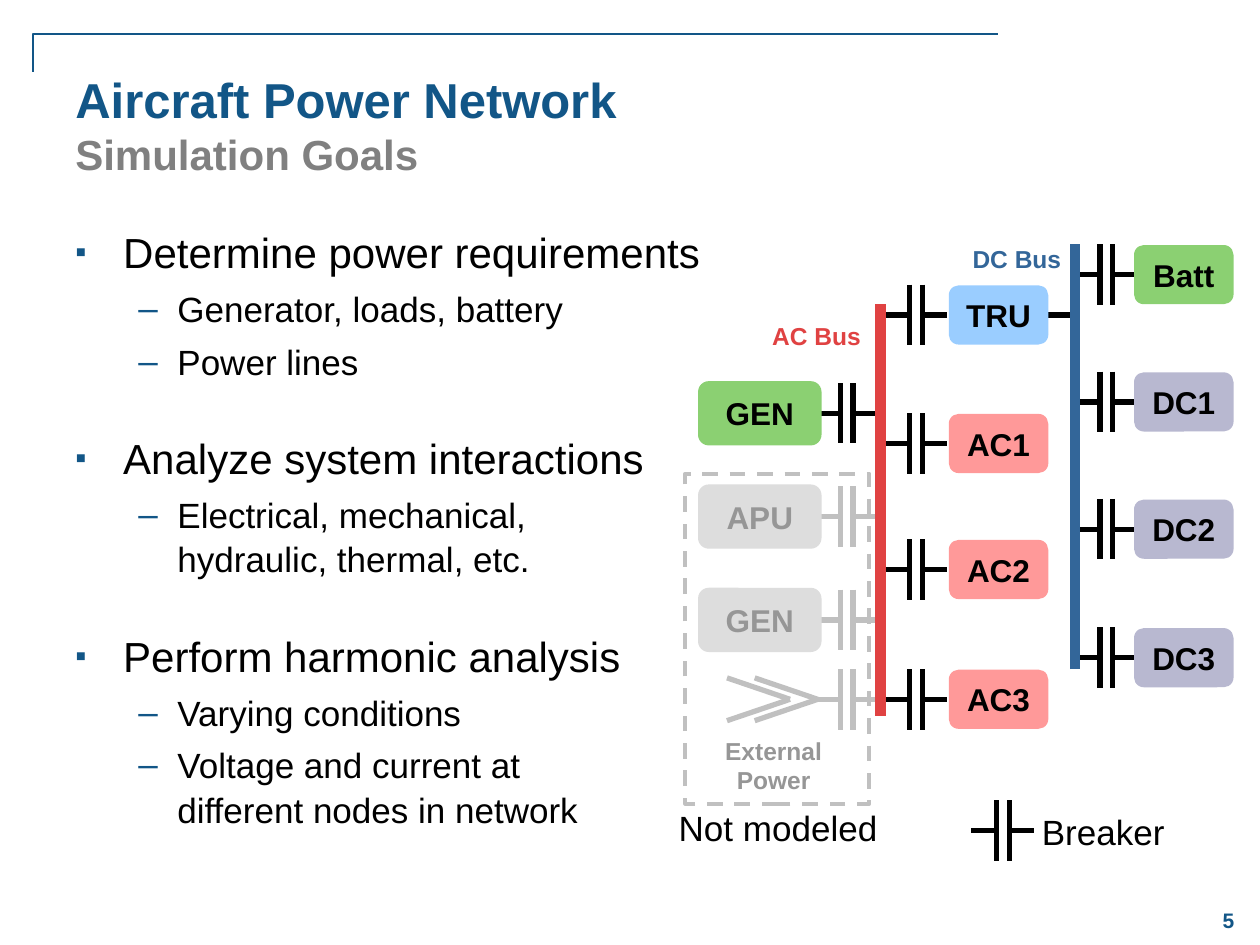
"""Build the aircraft power network slide with its goals and bus diagram."""
from typing import NamedTuple

from lxml import etree
from pptx import Presentation
from pptx import util as u
from pptx.dml.color import RGBColor
from pptx.enum import dml, shapes, text
from pptx.oxml import ns

NAVY = RGBColor(0x12, 0x56, 0x87)
BLACK = RGBColor(0, 0, 0)
GRAY = RGBColor(0x80, 0x80, 0x80)
WIRE_GRAY = RGBColor(0xC0, 0xC0, 0xC0)
BLOCK_GRAY = RGBColor(0xDD, 0xDD, 0xDD)
TEXT_GRAY = RGBColor(0x96, 0x96, 0x96)
GREEN = RGBColor(0x8B, 0xD0, 0x72)
PINK = RGBColor(0xFF, 0x99, 0x99)
LILAC = RGBColor(0xB8, 0xB8, 0xD0)
SKY = RGBColor(0x9A, 0xCD, 0xFF)
RED = RGBColor(0xE0, 0x42, 0x42)
BLUE = RGBColor(0x33, 0x66, 0x99)


class Bank(NamedTuple):
    breaker_x: float
    block_x: float
    width: float
    height: float
    inset: float


class Unit(NamedTuple):
    bank: Bank
    label: str
    y: float
    fill: RGBColor
    wire: RGBColor = BLACK
    color: RGBColor = BLACK


class Goal(NamedTuple):
    title: str
    details: tuple[str, ...]


class Label(NamedTuple):
    text: str
    box: tuple[float, float, float, float]
    size: int
    color: RGBColor
    bold: bool
    centered: bool


SOURCES = Bank(6.47, 5.54, 0.98, 0.51, 0.1)
AC_LOADS = Bank(7.02, 7.53, 0.79, 0.47, 0.04)
DC_LOADS = Bank(8.53, 9, 0.79, 0.47, 0.04)

UNMODELED = [
    Unit(SOURCES, "APU", 4.1, BLOCK_GRAY, WIRE_GRAY, TEXT_GRAY),
    Unit(SOURCES, "GEN", 4.92, BLOCK_GRAY, WIRE_GRAY, TEXT_GRAY),
]
MODELED = [
    Unit(SOURCES, "GEN", 3.28, GREEN),
    Unit(AC_LOADS, "TRU", 2.5, SKY),
    Unit(AC_LOADS, "AC1", 3.52, PINK),
    Unit(AC_LOADS, "AC2", 4.52, PINK),
    Unit(AC_LOADS, "AC3", 5.55, PINK),
    Unit(DC_LOADS, "Batt", 2.18, GREEN),
    Unit(DC_LOADS, "DC1", 3.19, LILAC),
    Unit(DC_LOADS, "DC2", 4.2, LILAC),
    Unit(DC_LOADS, "DC3", 5.22, LILAC),
]
GOALS = [
    Goal("Determine power requirements", ("Generator, loads, battery", "Power lines")),
    Goal("Analyze system interactions", ("Electrical, mechanical,\nhydraulic, thermal, etc.",)),
    Goal("Perform harmonic analysis",
         ("Varying conditions", "Voltage and current at\ndifferent nodes in network")),
]
LABELS = [
    Label("Breaker", (8.17, 6.38, 1.18, 0.44), 20, BLACK, False, False),
    Label("External\nPower", (5.65, 5.79, 0.98, 0.57), 14, TEXT_GRAY, True, True),
    Label("Not modeled", (5.28, 6.35, 1.79, 0.44), 20, BLACK, False, True),
    Label("AC Bus", (6.03, 2.5, 0.91, 0.34), 14, RED, True, False),
    Label("DC Bus", (7.62, 1.89, 0.91, 0.34), 14, BLUE, True, False),
]


def write(p, words: str, *, size: float, color=BLACK, bold=False, centered=False) -> None:
    if centered:
        p.alignment = text.PP_ALIGN.CENTER
    for i, part in enumerate(words.split("\n")):
        if i:
            p.add_line_break()
        if part:
            r = p.add_run()
            r.text = part
            r.font.name, r.font.size = "Arial", u.Pt(size)
            r.font.bold, r.font.color.rgb = bold, color


def text_frame(s, box: tuple[float, float, float, float], wrap: bool = True):
    tf = s.shapes.add_textbox(*map(u.Inches, box)).text_frame
    tf.word_wrap = wrap
    return tf


def line(s, x1: float, y1: float, x2: float, y2: float, color: RGBColor, width: float = 3) -> None:
    cxn = s.shapes.add_connector(shapes.MSO_CONNECTOR.STRAIGHT, *map(u.Inches, (x1, y1, x2, y2)))
    cxn.line.color.rgb, cxn.line.width = color, u.Pt(width)
    etree.SubElement(cxn._element.spPr, ns.qn("a:effectLst"))


def breaker(s, x: float, y: float, color: RGBColor) -> None:
    for start, plate in ((x, x + 0.2), (x + 0.3, x + 0.3)):
        line(s, start, y, start + 0.2, y, color)
        line(s, plate, y - 0.24, plate, y + 0.24, color)


def unit(s, item: Unit) -> None:
    bank = item.bank
    breaker(s, bank.breaker_x, item.y, item.wire)
    sp = s.shapes.add_shape(
        shapes.MSO_SHAPE.ROUNDED_RECTANGLE, u.Inches(bank.block_x),
        u.Inches(item.y - bank.height / 2), u.Inches(bank.width), u.Inches(bank.height))
    sp.shadow.inherit = False
    sp.fill.solid()
    sp.fill.fore_color.rgb = item.fill
    sp.line.fill.background()
    tf = sp.text_frame
    tf.margin_left = tf.margin_right = u.Inches(bank.inset)
    tf.vertical_anchor = text.MSO_ANCHOR.MIDDLE
    write(tf.paragraphs[0], item.label, size=18, color=item.color, bold=True, centered=True)


def bullet(p, mark: str, left: float, hang: float, percent: int) -> None:
    pPr = p._p.get_or_add_pPr()
    pPr.set("marL", str(u.Inches(left)))
    pPr.set("indent", str(-u.Inches(hang)))
    color = etree.SubElement(pPr, ns.qn("a:buClr"))
    etree.SubElement(color, ns.qn("a:srgbClr"), val=str(NAVY))
    etree.SubElement(pPr, ns.qn("a:buSzPct"), val=str(percent * 1000))
    etree.SubElement(pPr, ns.qn("a:buFont"), typeface="Arial")
    etree.SubElement(pPr, ns.qn("a:buChar"), char=mark)


def goals(s) -> None:
    tf = text_frame(s, (0.5, 1.75, 8.83, 5.08))
    for i, goal in enumerate(GOALS):
        p = tf.add_paragraph() if i else tf.paragraphs[0]
        bullet(p, "▪", 0.38, 0.38, 75)
        if i:
            p.space_before = u.Pt(29)
        write(p, goal.title, size=24)
        for detail in goal.details:
            p = tf.add_paragraph()
            bullet(p, "–", 0.81, 0.31, 100)
            p.line_spacing, p.space_before = 1.05, u.Pt(4.8)
            write(p, detail, size=20)


def frame(s) -> None:
    builder = s.shapes.build_freeform(u.Inches(7.92), u.Inches(0.27))
    builder.add_line_segments(
        [(u.Inches(0.26), u.Inches(0.27)), (u.Inches(0.26), u.Inches(0.57))], close=False)
    corner = builder.convert_to_shape()
    zone = s.shapes.add_shape(
        shapes.MSO_SHAPE.RECTANGLE, *map(u.Inches, (5.44, 3.76, 1.46, 2.62)))
    zone.line.dash_style = dml.MSO_LINE.DASH
    for sp, color, width in ((corner, NAVY, 1), (zone, WIRE_GRAY, 2.25)):
        sp.shadow.inherit = False
        sp.fill.background()
        sp.line.color.rgb, sp.line.width = color, u.Pt(width)


def main() -> None:
    prs = Presentation()
    prs.slide_width, prs.slide_height = u.Inches(10), u.Inches(7.5)
    s = prs.slides.add_slide(prs.slide_layouts[6])
    frame(s)

    p = text_frame(s, (0.5, 0.5, 8.83, 1.08)).paragraphs[0]
    write(p, "Aircraft Power Network\n", size=28, color=NAVY, bold=True)
    write(p, "Simulation Goals", size=24, color=GRAY, bold=True)
    tf = text_frame(s, (9.5, 7.09, 0.5, 0.42))
    tf.vertical_anchor = text.MSO_ANCHOR.MIDDLE
    write(tf.paragraphs[0], "5", size=12, color=NAVY, bold=True, centered=True)
    goals(s)

    for item in UNMODELED:
        unit(s, item)
    breaker(s, SOURCES.breaker_x, 5.55, WIRE_GRAY)
    for x in (5.77, 5.99):
        for y in (5.38, 5.72):
            line(s, x, y, x + 0.5, 5.55, WIRE_GRAY)
    line(s, 8.18, 2.5, 8.53, 2.5, BLACK)
    for item in MODELED:
        unit(s, item)
    line(s, 8.53, 5.31, 8.53, 1.94, BLUE, 6)
    line(s, 6.99, 5.68, 6.99, 2.41, RED, 6)
    breaker(s, 7.71, 6.59, BLACK)
    for label in LABELS:
        p = text_frame(s, label.box, wrap=False).paragraphs[0]
        write(p, label.text, size=label.size, color=label.color, bold=label.bold,
              centered=label.centered)
    prs.save("out.pptx")


if __name__ == "__main__":
    main()
